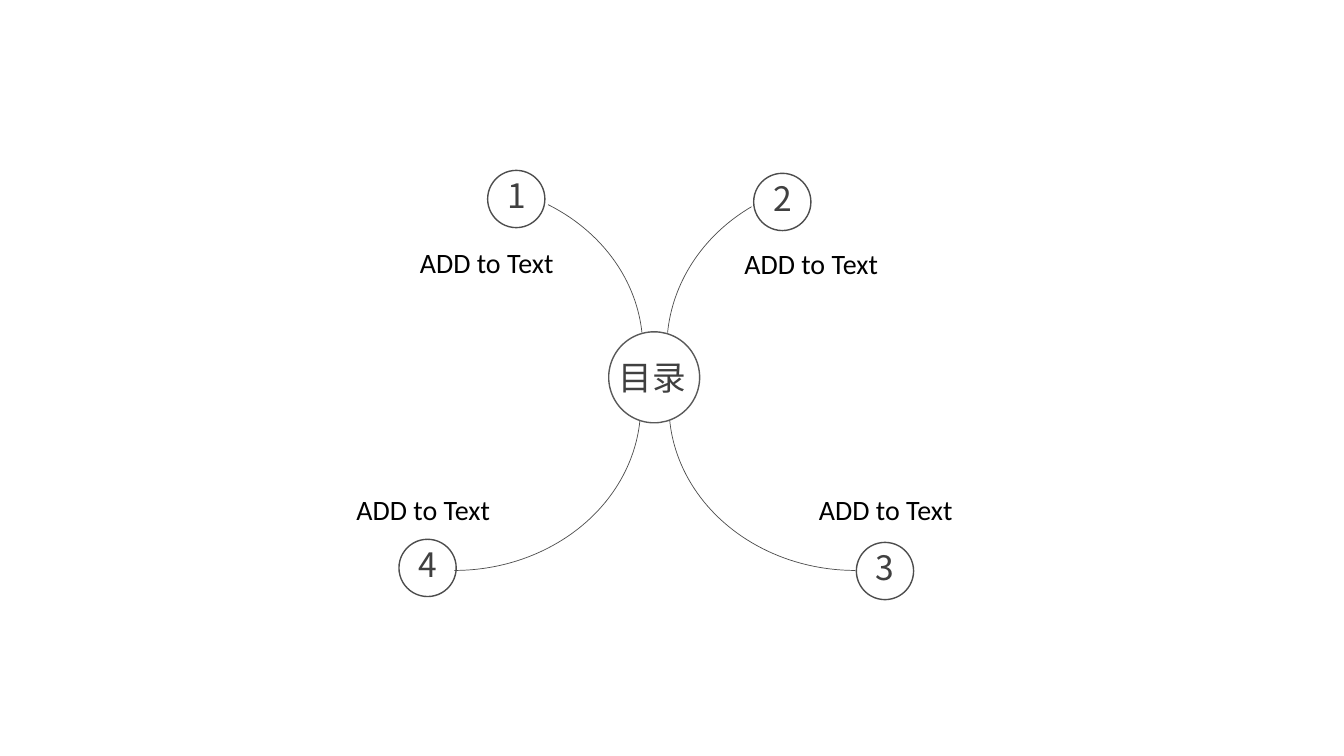
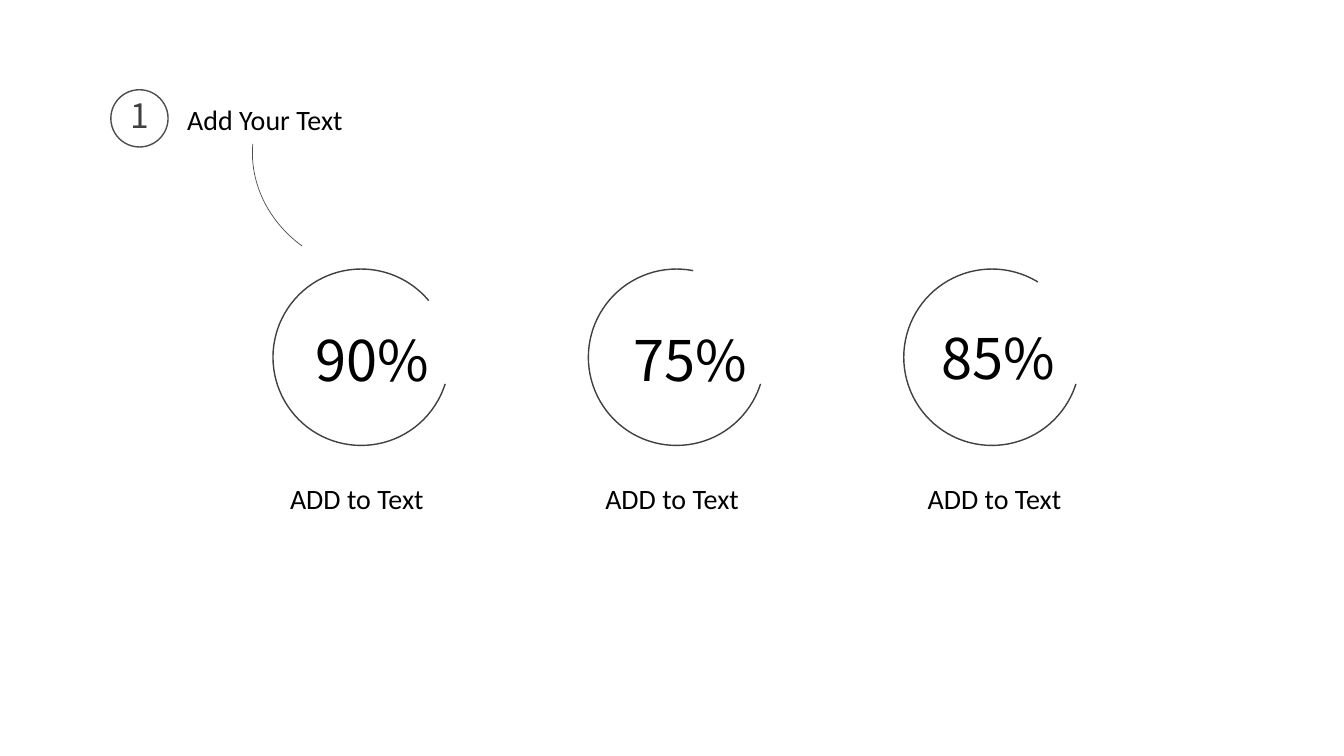
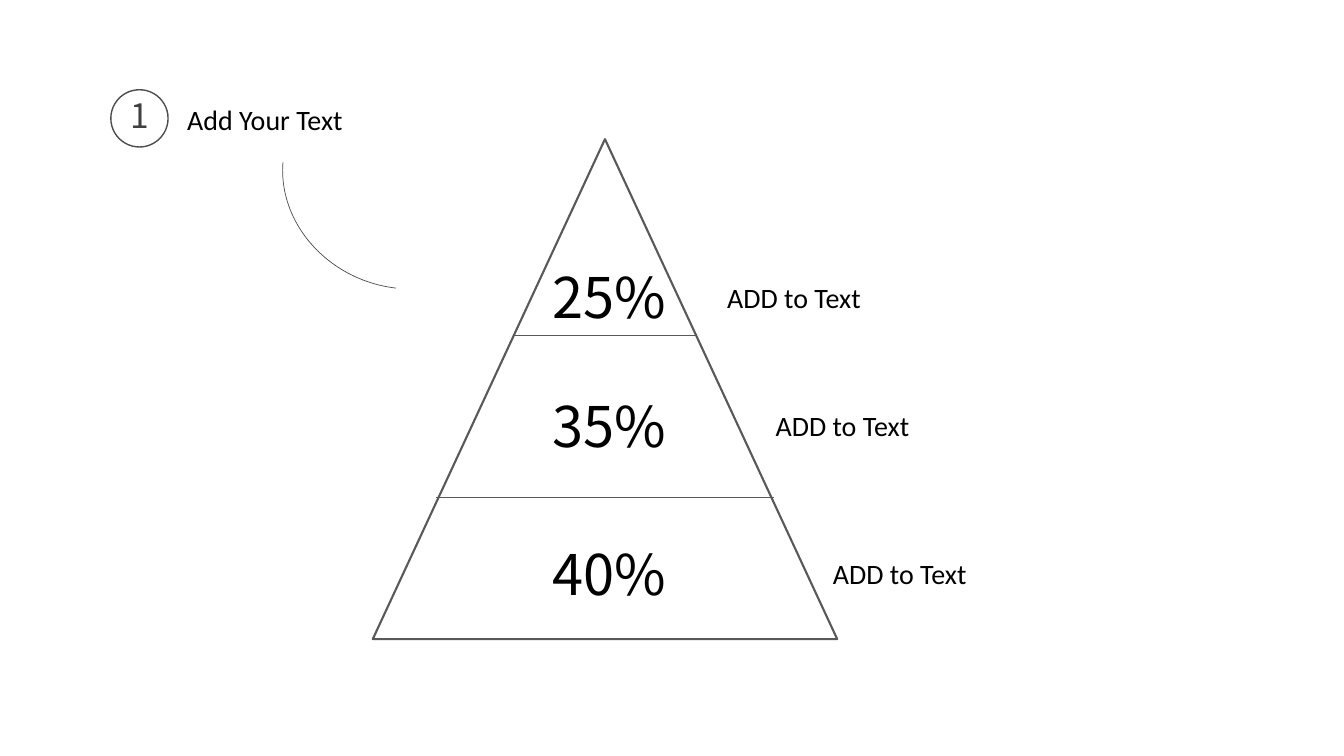
from dataclasses import dataclass

from lxml.etree import SubElement
from pptx import Presentation
from pptx.dml.color import RGBColor
from pptx.enum.shapes import MSO_CONNECTOR, MSO_SHAPE
from pptx.oxml.ns import qn
from pptx.util import Pt

# Shared look
INK = "404040"
OUTLINE = "4D4D4D"
FRAME = "595959"
BLACK = "000000"
HAN_FONT = "Noto Sans CJK SC"
LABEL_TEXT = "ADD to Text"
BADGE_SIZE = 40.9
TILT = 21.4


@dataclass(frozen=True)
class TextStyle:
    font: str
    size: float
    color: str
    width: float
    height: float


@dataclass(frozen=True)
class Curve:
    """Clockwise elliptical arc; angles in degrees, 0 pointing right."""
    left: float
    top: float
    width: float
    height: float
    start: float
    end: float
    tilt: float = 0


@dataclass(frozen=True)
class Topic:
    number: str
    badge: tuple[float, float]
    label: tuple[float, float]
    branch: Curve


@dataclass(frozen=True)
class Ring:
    percent: str
    end: float
    percent_at: tuple[float, float]
    label_left: float


@dataclass(frozen=True)
class Tier:
    percent: str
    top: float
    label_left: float


LABEL = TextStyle("Calibri", 20, BLACK, 116, 31.5)
HEADING = TextStyle("Calibri", 20, BLACK, 132.5, 31.5)
NUMBER = TextStyle(HAN_FONT, 24, INK, 28, 36)
HUB = TextStyle(HAN_FONT, 24, INK, 67, 36)
PERCENT = TextStyle(HAN_FONT, 40, BLACK, 96.5, 55.5)

# Content
TOPICS = [
    Topic("1", (348.5, 121.7), (293, 172.1), Curve(193, 131, 266.4, 235.4, 302.6, 355.2)),
    Topic("2", (538.6, 123.8), (524.9, 172.8), Curve(476.6, 128.2, 266.4, 240.5, 184.7, 234.2)),
    Topic("3", (612, 387.4), (578.2, 348.5), Curve(478.1, 172.1, 266.4, 235.4, 90, 175.5)),
    Topic("4", (285.1, 385.2), (247.7, 348.5), Curve(191.5, 172.1, 266.4, 235.4, 4.5, 90)),
]
RINGS = [
    Ring("90%", 320.1, (218.2, 229), 200.2),
    Ring("75%", 280.9, (445.7, 229), 425.5),
    Ring("85%", 301.4, (666, 227.5), 655.9),
]
TIERS = [
    Tier("25%", 184.3, 512.6),
    Tier("35%", 275.8, 547.2),
    Tier("40%", 381.6, 588.2),
]
DIVIDERS = [(366.5, 496.8, 239.8), (311.8, 553, 355)]


def rgb(color: str) -> RGBColor:
    return RGBColor.from_string(color)


def draw_line(line, color: str, weight: float) -> None:
    line.color.rgb = rgb(color)
    line.width = Pt(weight)


def add_text(slide, text: str, left: float, top: float, style: TextStyle) -> None:
    box = slide.shapes.add_textbox(Pt(left), Pt(top), Pt(style.width), Pt(style.height))
    frame = box.text_frame
    frame_format = {"word_wrap": True, "margin_left": Pt(7.2), "margin_right": Pt(0),
                    "margin_top": Pt(3.6), "margin_bottom": Pt(3.6)}
    for name, value in frame_format.items():
        setattr(frame, name, value)
    run = frame.paragraphs[0].add_run()
    run.text = text
    for name, value in {"size": Pt(style.size), "name": style.font}.items():
        setattr(run.font, name, value)
    run.font.color.rgb = rgb(style.color)
    SubElement(run.font._element, qn("a:ea")).set("typeface", style.font)


def add_outline(slide, kind, left: float, top: float, width: float, height: float,
                color: str, weight: float):
    shape = slide.shapes.add_shape(kind, Pt(left), Pt(top), Pt(width), Pt(height))
    shape.shadow.inherit = False
    shape.fill.background()
    draw_line(shape.line, color, weight)
    return shape


def add_curve(slide, curve: Curve, color: str = OUTLINE, weight: float = 0.5) -> None:
    arc = add_outline(slide, MSO_SHAPE.ARC, curve.left, curve.top, curve.width,
                      curve.height, color, weight)
    # Adjustments count 60000ths of a degree, divided by 100000
    for index, angle in enumerate((curve.start, curve.end)):
        arc.adjustments[index] = angle * 0.6
    arc.rotation = curve.tilt


def add_badge(slide, number: str, left: float, top: float) -> None:
    add_outline(slide, MSO_SHAPE.OVAL, left, top, BADGE_SIZE, BADGE_SIZE, OUTLINE, 1)
    add_text(slide, number, left + 6.8, top, NUMBER)


def add_divider(slide, left: float, right: float, top: float) -> None:
    divider = slide.shapes.add_connector(
        MSO_CONNECTOR.STRAIGHT, Pt(left), Pt(top), Pt(right), Pt(top))
    draw_line(divider.line, FRAME, 0.5)
    SubElement(divider._element.spPr, qn("a:effectLst"))


def add_heading(slide, tail: Curve) -> None:
    add_badge(slide, "1", 79.2, 64.1)
    add_text(slide, "Add Your Text", 126.7, 69.8, HEADING)
    add_curve(slide, tail)


def build_contents(slide) -> None:
    for topic in TOPICS:
        add_curve(slide, topic.branch)
        add_badge(slide, topic.number, *topic.badge)
        add_text(slide, LABEL_TEXT, *topic.label, LABEL)
    add_outline(slide, MSO_SHAPE.OVAL, 435, 237, 65, 65, FRAME, 1)
    add_text(slide, "目录", 435, 251.3, HUB)


def build_rings(slide) -> None:
    add_heading(slide, Curve(179.3, 37.4, 172.8, 155.5, 108, 166.8, TILT))
    for index, ring in enumerate(RINGS):
        left = 195.1 + 225.4 * index
        add_curve(slide, Curve(left, 192.2, 126, 126, 17.6, ring.end), INK, 1)
        add_text(slide, ring.percent, *ring.percent_at, PERCENT)
        add_text(slide, LABEL_TEXT, ring.label_left, 340.6, LABEL)


def build_pyramid(slide) -> None:
    add_heading(slide, Curve(200.9, 49.7, 172.8, 155.5, 71.8, 166.3, TILT))
    for tier in TIERS:
        add_text(slide, tier.percent, 388.1, tier.top, PERCENT)
        add_text(slide, LABEL_TEXT, tier.label_left, tier.top + 12.2, LABEL)
    add_outline(slide, MSO_SHAPE.ISOSCELES_TRIANGLE, 266.4, 99.4, 331.9, 357.1, FRAME, 1.5)
    for divider in DIVIDERS:
        add_divider(slide, *divider)


def main() -> None:
    deck = Presentation()
    deck.slide_width, deck.slide_height = Pt(960.5), Pt(540)
    blank = deck.slide_layouts[6]
    for build in (build_contents, build_rings, build_pyramid):
        build(deck.slides.add_slide(blank))
    deck.save("out.pptx")


if __name__ == "__main__":
    main()
